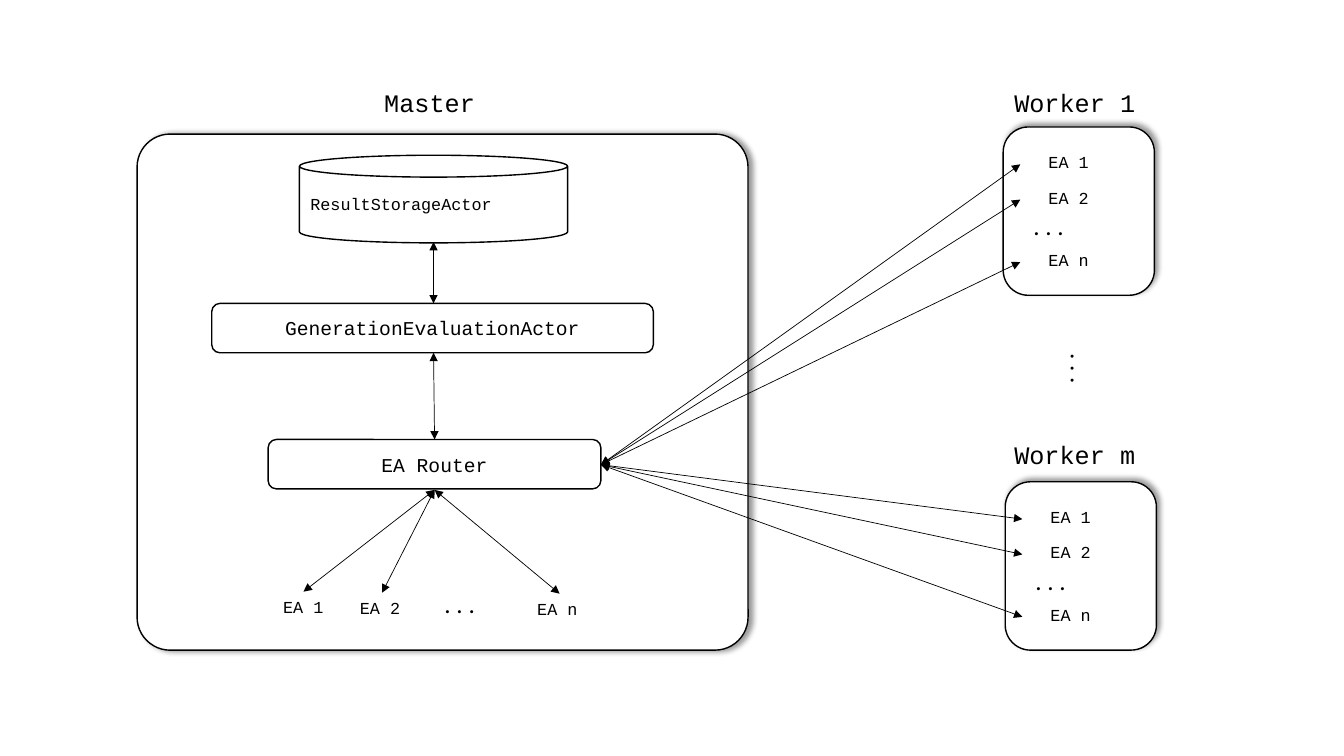
from pptx import Presentation
from pptx.dml.color import RGBColor
from pptx.enum import shapes, text
from pptx.oxml import parse_xml
from pptx.oxml.ns import nsdecls
from pptx.util import Inches, Pt

COLORS = {"ink": "000000", "paper": "FFFFFF"}
MONO, SANS = "Courier New", "Calibri"
SHAPE = shapes.MSO_SHAPE

ROUTER_RIGHT = (5.96, 4.61)
ROUTER_BOTTOM = (4.31, 4.86)
WORKERS = [("Worker 1", 9.95, 1.26, 0.82), ("Worker m", 9.97, 4.78, 4.31)]
WORKER_ROWS = [("EA 1", 0.2), ("EA 2", 0.55), ("EA n", 1.17)]
# label, label left, label top, arrow tip
MASTER_ACTORS = [("EA 1", 2.71, 5.87, (3.01, 5.87)),
                 ("EA 2", 3.47, 5.88, (3.79, 5.88)),
                 ("EA n", 5.23, 5.89, (5.55, 5.89))]


def color(name):
    return RGBColor.from_string(COLORS[name])


def write(tf, content, size, font, align):
    p = tf.paragraphs[0]
    p.alignment = align
    r = p.add_run()
    r.text = content
    r.font.size = Pt(size)
    r.font.name = font
    r.font.color.rgb = color("ink")


def add_outline(s, kind, x, y, w, h):
    sp = s.shapes.add_shape(kind, Inches(x), Inches(y), Inches(w), Inches(h))
    sp.shadow.inherit = False
    sp.fill.solid()
    sp.fill.fore_color.rgb = color("paper")
    sp.line.color.rgb = color("ink")
    sp.line.width = Pt(1)
    return sp


def add_panel(s, x, y, w, h, angle):
    """Add a rounded box whose shadow falls at the given angle in degrees."""
    sp = add_outline(s, SHAPE.ROUNDED_RECTANGLE, x, y, w, h)
    effects = sp._element.spPr.find("{*}effectLst")
    effects.append(parse_xml(
        f'<a:outerShdw {nsdecls("a")} blurRad="{Pt(4)}" dist="{Pt(3)}" '
        f'dir="{angle * 60000}" algn="ctr" rotWithShape="0">'
        f'<a:srgbClr val="{COLORS["ink"]}"><a:alpha val="40000"/></a:srgbClr>'
        '</a:outerShdw>'))
    return sp


def add_actor_box(s, content, x, y, w):
    sp = add_outline(s, SHAPE.ROUNDED_RECTANGLE, x, y, w, 0.49)
    tf = sp.text_frame
    tf.vertical_anchor = text.MSO_ANCHOR.MIDDLE
    write(tf, content, 14, MONO, text.PP_ALIGN.CENTER)


def add_label(s, content, x, y, w=0.65, h=0.3, size=12, font=MONO, centered=False):
    sp = s.shapes.add_textbox(Inches(x), Inches(y), Inches(w), Inches(h))
    tf = sp.text_frame
    tf.word_wrap = True
    tf.auto_size = text.MSO_AUTO_SIZE.SHAPE_TO_FIT_TEXT
    tf.margin_left = Inches(0 if centered else 0.1)
    tf.margin_right = 0
    align = text.PP_ALIGN.CENTER if centered else text.PP_ALIGN.LEFT
    write(tf, content, size, font, align)
    return sp


def add_heading(s, content, x, y, w):
    add_label(s, content, x, y, w, 0.4, 18, centered=True)


def add_dots(s, x, y, w=0.51):
    return add_label(s, ". . .", x, y, w, 0.4, 18, SANS)


def add_arrow(s, start, end):
    """Add a thin connector with a triangle at both ends."""
    points = [Inches(v) for v in (*start, *end)]
    c = s.shapes.add_connector(shapes.MSO_CONNECTOR.STRAIGHT, *points)
    c.line.color.rgb = color("ink")
    c.line.width = Pt(0.5)
    ln = c.line._get_or_add_ln()
    for tag in ("headEnd", "tailEnd"):
        ln.append(parse_xml(f'<a:{tag} {nsdecls("a")} type="triangle"/>'))
    c._element.spPr.append(parse_xml(f'<a:effectLst {nsdecls("a")}/>'))


def add_master(s):
    add_heading(s, "Master", 3.65, 0.82, 1.22)
    panel = add_panel(s, 1.36, 1.33, 6.06, 5.12, 0)
    panel.adjustments[0] = 0.064
    add_outline(s, SHAPE.CAN, 2.97, 1.54, 2.66, 0.87)
    add_label(s, "ResultStorageActor", 2.98, 1.87, 2.07)
    add_actor_box(s, "GenerationEvaluationActor", 2.1, 3.01, 4.38)
    add_actor_box(s, "EA Router", 2.66, 4.36, 3.3)
    add_arrow(s, (4.3, 2.4), (4.3, 3.01))
    add_arrow(s, (4.3, 3.5), (4.31, 4.36))
    for name, x, y, tip in MASTER_ACTORS:
        add_label(s, name, x, y)
        add_arrow(s, tip, ROUTER_BOTTOM)
    add_dots(s, 4.31, 5.79)


def add_worker(s, name, x, y, heading_y):
    add_heading(s, name, 9.96, heading_y, 1.4)
    add_panel(s, x, y, 1.5, 1.67, 315)
    for actor, dy in WORKER_ROWS:
        add_label(s, actor, x + 0.35, y + dy)
        add_arrow(s, (x + 0.17, y + dy + 0.17), ROUTER_RIGHT)
    add_dots(s, x + 0.2, y + 0.78)


def main():
    prs = Presentation()
    prs.slide_width, prs.slide_height = Inches(13.33), Inches(7.5)
    s = prs.slides.add_slide(prs.slide_layouts[6])
    add_master(s)
    for worker in WORKERS:
        add_worker(s, *worker)
    add_dots(s, 10.39, 3.54, 0.66).rotation = 90
    prs.save("out.pptx")


if __name__ == "__main__":
    main()
